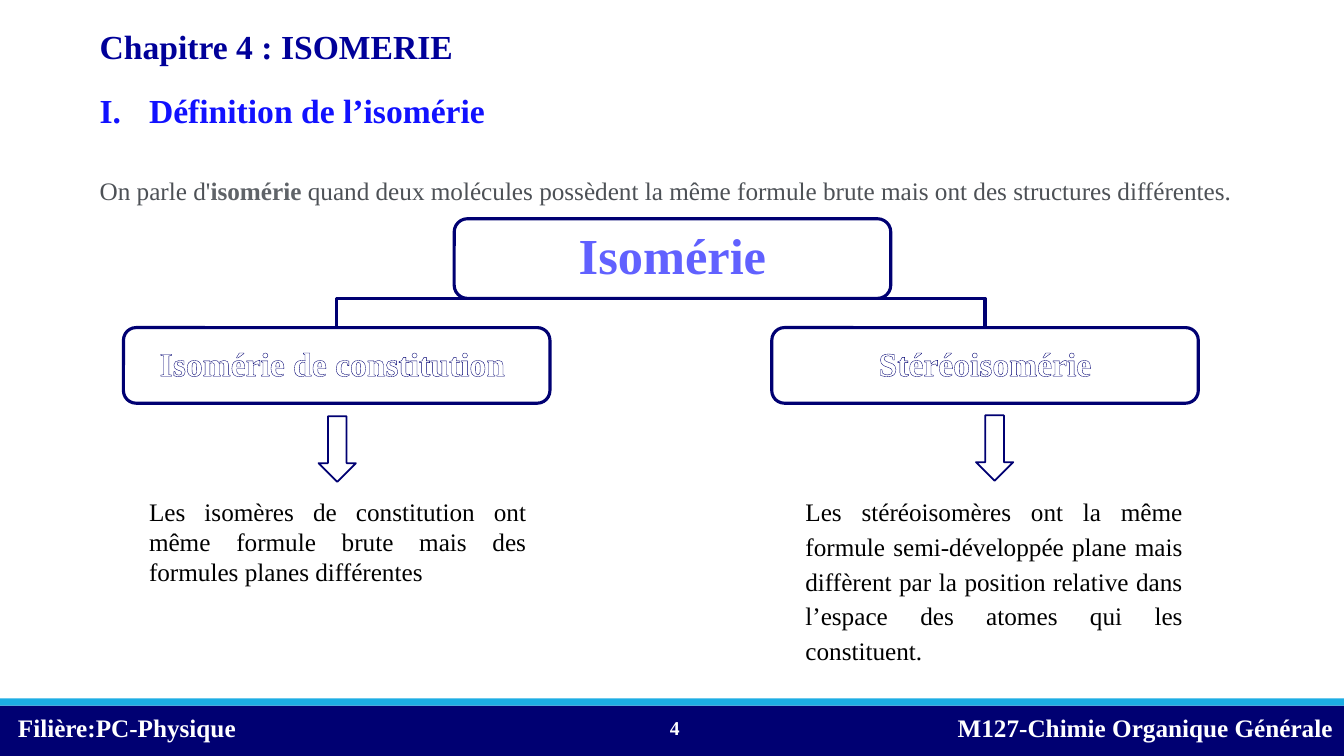
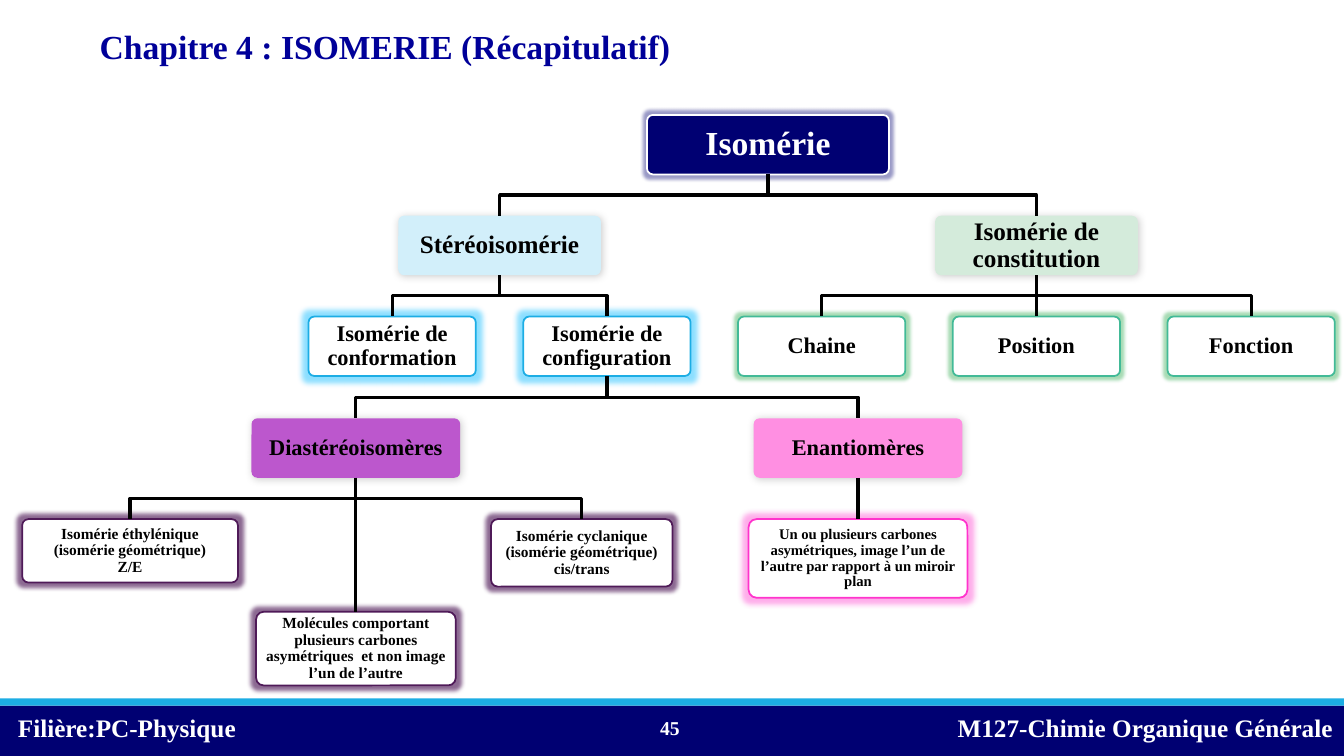
from lxml import etree
from pptx import Presentation
from pptx.dml.color import RGBColor
from pptx.enum.shapes import MSO_CONNECTOR as Connector, MSO_SHAPE as Geometry
from pptx.enum.text import MSO_ANCHOR as Anchor, PP_ALIGN as Align
from pptx.oxml import parse_xml
from pptx.oxml.ns import nsdecls, qn
from pptx.util import Inches, Pt


class Theme:
    font = "Times New Roman"
    navy, sky, white, black = "000072", "1CADE4", "FFFFFF", "000000"
    title, heading, root_text = "000099", "1111FF", "6161FF"
    grey, dark_grey = "4D5156", "5F6368"
    teal, plum, pink = "42BA97", "4F1A58", "FF33CC"
    pale_blue, pale_green, orchid, rose = "D2EFFA", "D4EBDB", "BC57CD", "FF8FE2"
    huge, large, body, medium, page, small, tiny = 36, 24, 18, 16, 14, 11, 10.5
    # Glow: colour, radius in points, opacity in percent
    glows = {navy: ("000072", 5, 40), sky: ("00B8FF", 8, 45), teal: ("4FB86A", 5, 50),
             plum: ("4F1A58", 6, 65), pink: ("FF33CC", 8, 40)}


def style(shape, fill=None, line=None, weight=1.25):
    """Set fill and outline, and drop the default shadow."""
    shape.shadow.inherit = False
    if fill:
        shape.fill.solid()
        shape.fill.fore_color.rgb = RGBColor.from_string(fill)
    else:
        shape.fill.background()
    if line:
        shape.line.color.rgb = RGBColor.from_string(line)
        shape.line.width = Pt(weight)
    else:
        shape.line.fill.background()


def write(shape, runs, size, align=Align.LEFT, anchor=Anchor.TOP, spacing=None,
          inset=None, outline=None, tab=None):
    """Write one paragraph from (text, colour, bold) runs."""
    frame = shape.text_frame
    frame.word_wrap = True
    frame.vertical_anchor = anchor
    if inset is not None:
        frame.margin_left = frame.margin_right = Inches(inset)
        frame.margin_top = frame.margin_bottom = Inches(inset)
    paragraph = frame.paragraphs[0]
    if tab:
        tabs = etree.SubElement(paragraph._p.get_or_add_pPr(), qn("a:tabLst"))
        etree.SubElement(tabs, qn("a:tab"), pos=str(Inches(tab)), algn="l")
    paragraph.alignment = align
    if spacing:
        paragraph.line_spacing = spacing
    for text, color, bold in runs:
        for number, part in enumerate(text.split("\n")):
            if number:
                paragraph.add_line_break()
            run = paragraph.add_run()
            run.text = part
            run.font.name = Theme.font
            run.font.size = Pt(size)
            run.font.bold = bold
            run.font.color.rgb = RGBColor.from_string(color)
            if outline:
                run._r.get_or_add_rPr().insert(0, parse_xml(
                    f'<a:ln {nsdecls("a")} w="{Pt(outline)}"><a:solidFill>'
                    f'<a:srgbClr val="{Theme.navy}"/></a:solidFill></a:ln>'))


presentation = Presentation()
presentation.slide_width = Inches(13.33)
presentation.slide_height = Inches(7.5)

# Shared parts: bands, footer texts and chapter title
for title, page in [("Chapitre 4 : ISOMERIE", "4"),
                    ("Chapitre 4 : ISOMERIE (Récapitulatif)", "45")]:
    slide = presentation.slides.add_slide(presentation.slide_layouts[6])
    for top, height, color in [(7, 0.5, Theme.navy), (6.93, 0.07, Theme.sky)]:
        band = slide.shapes.add_shape(
            Geometry.RECTANGLE, 0, Inches(top), presentation.slide_width, Inches(height))
        style(band, color)
    for left, top, width, text, size, color, align in [
            (0.08, 7.02, 4.44, "Filière:PC-Physique", Theme.body, Theme.white, Align.LEFT),
            (9.4, 7.02, 4.34, "M127-Chimie Organique Générale", Theme.body, Theme.white,
             Align.LEFT),
            (6.27, 7.02, 0.57, page, Theme.page, Theme.white, Align.RIGHT),
            (0.89, 0.21, 10.76, title, Theme.large, Theme.title, Align.LEFT)]:
        label = slide.shapes.add_textbox(*map(Inches, (left, top, width, 0.4)))
        anchor = Anchor.MIDDLE if text == page else Anchor.TOP
        write(label, [(text, color, True)], size, align, anchor)

definition_slide, summary_slide = presentation.slides

# Definition: heading and sentence
heading = definition_slide.shapes.add_textbox(*map(Inches, (0.89, 0.64, 6.87, 0.63)))
write(heading, [("I.\tDéfinition de l’isomérie", Theme.heading, True)], Theme.large,
      spacing=1.5, tab=0.49)
sentence = definition_slide.shapes.add_textbox(*map(Inches, (0.89, 1.54, 11.56, 0.5)))
write(sentence, [
    ("On parle d'", Theme.grey, False),
    ("isomérie", Theme.dark_grey, True),
    (" quand deux molécules possèdent la même formule brute mais ont des structures "
     "différentes.", Theme.grey, False)], Theme.body, spacing=1.5)

# Definition: branches, then the boxes over them
root_center, root_bottom, branch_top = 6.67, 2.96, 3.25
for center in (9.77, 3.34):
    builder = definition_slide.shapes.build_freeform(Inches(root_center), Inches(root_bottom))
    builder.add_line_segments([(Inches(center), Inches(root_bottom)),
                               (Inches(center), Inches(branch_top))], close=False)
    style(builder.convert_to_shape(), line=Theme.navy, weight=2.25)
for center, top, width, height, text, size, color, outline in [
        (root_center, 2.17, 4.33, 0.79, "Isomérie", Theme.huge, Theme.root_text, 1.75),
        (3.34, branch_top, 4.23, 0.75, "Isomérie de constitution ", Theme.large,
         Theme.white, 0.52),
        (9.77, branch_top, 4.23, 0.75, "Stéréoisomérie", Theme.large, Theme.white, 0.52)]:
    box = definition_slide.shapes.add_shape(
        Geometry.ROUNDED_RECTANGLE, *map(Inches, (center - width / 2, top, width, height)))
    style(box, Theme.white, Theme.navy, 2.25)
    write(box, [(text, color, True)], size, Align.CENTER, Anchor.MIDDLE, 0.9, 0.02, outline)

# Definition: arrows and explanations
for arrow_left, arrow_top, left, top, height, spacing, text in [
        (3.16, 4.13, 1.38, 4.87, 1.01, None,
         "Les isomères de constitution ont même formule brute mais des formules planes "
         "différentes"),
        (9.68, 4.12, 7.89, 4.83, 1.82, 1.15,
         "Les stéréoisomères ont la même formule semi-développée plane mais diffèrent par "
         "la position relative dans l’espace des atomes qui les constituent.")]:
    arrow = definition_slide.shapes.add_shape(
        Geometry.DOWN_ARROW, *map(Inches, (arrow_left, arrow_top, 0.37, 0.65)))
    style(arrow, line=Theme.navy)
    explanation = definition_slide.shapes.add_textbox(*map(Inches, (left, top, 3.94, height)))
    write(explanation, [(text, Theme.black, False)], Theme.body, Align.JUSTIFY,
          spacing=spacing)

# Summary tree: key, parent, center, top, width, height, fill, line, size, text
levels = (1.14, 2.14, 3.14, 4.15, 5.15)
columns = [3.89 + 2.13 * number for number in range(5)]
stereo = (columns[0] + columns[1]) / 2
root = (stereo + columns[3]) / 2
diastereo, enantio = columns[1] - 2.49, columns[1] + 2.49
nodes = [
    ("root", None, root, levels[0], 2.4, 0.59, Theme.navy, Theme.white, Theme.large,
     "Isomérie"),
    ("stereo", "root", stereo, levels[1], 2.01, 0.59, Theme.pale_blue, None, Theme.body,
     "Stéréoisomérie"),
    ("constitution", "root", columns[3], levels[1], 2.01, 0.59, Theme.pale_green, None,
     Theme.body, "Isomérie de constitution")]
for column, (key, parent, line, text) in zip(columns, [
        ("conformation", "stereo", Theme.sky, "Isomérie de conformation"),
        ("configuration", "stereo", Theme.sky, "Isomérie de configuration"),
        ("chain", "constitution", Theme.teal, "Chaine"),
        ("position", "constitution", Theme.teal, "Position"),
        ("function", "constitution", Theme.teal, "Fonction")]):
    nodes.append((key, parent, column, levels[2], 1.66, 0.59, Theme.white, line,
                  Theme.medium, text))
nodes += [
    ("diastereo", "configuration", diastereo, levels[3], 2.07, 0.59, Theme.orchid, None,
     Theme.medium, "Diastéréoisomères"),
    ("enantio", "configuration", enantio, levels[3], 2.07, 0.59, Theme.rose, None,
     Theme.medium, "Enantiomères"),
    ("ethylenic", "diastereo", diastereo - 2.24, levels[4], 2.14, 0.63, Theme.white,
     Theme.plum, Theme.small, "Isomérie éthylénique\n(isomérie géométrique)\nZ/E"),
    ("molecules", "diastereo", diastereo, 6.07, 1.98, 0.73, Theme.white, Theme.plum,
     Theme.small,
     "Molécules comportant plusieurs carbones asymétriques  et non image l’un de l’autre"),
    ("cyclic", "diastereo", diastereo + 2.24, levels[4], 1.8, 0.67, Theme.white,
     Theme.plum, Theme.small, "Isomérie cyclanique\n(isomérie géométrique)\ncis/trans"),
    ("mirror", "enantio", enantio, levels[4], 2.17, 0.78, Theme.white, Theme.pink,
     Theme.tiny,
     "Un ou plusieurs carbones asymétriques, image l’un de l’autre par rapport à un "
     "miroir plan")]

boxes = {}
for key, parent, center, top, width, height, fill, line, size, text in nodes:
    box = summary_slide.shapes.add_shape(
        Geometry.ROUNDED_RECTANGLE, *map(Inches, (center - width / 2, top, width, height)))
    box.adjustments[0] = 0.1
    style(box, fill, line)
    color = Theme.white if fill == Theme.navy else Theme.black
    inset = 0.05 if size <= Theme.small else 0.07
    write(box, [(text, color, True)], size, Align.CENTER, Anchor.MIDDLE, 0.9, inset)

    # Glow around outlined boxes, soft shadow under the others
    if line:
        tint, radius, opacity = Theme.glows[Theme.navy if fill == Theme.navy else line]
        tag, settings = "glow", f'rad="{Pt(radius)}"'
    else:
        tint, opacity = Theme.black, 20
        tag, settings = "outerShdw", f'blurRad="{Pt(6)}" dist="{Pt(1)}" dir="2700000"'
    box._element.spPr.find(qn("a:effectLst")).append(parse_xml(
        f'<a:{tag} {nsdecls("a")} {settings}><a:srgbClr val="{tint}">'
        f'<a:alpha val="{opacity * 1000}"/></a:srgbClr></a:{tag}>'))

    # Link to the parent: straight below it, else with two bends
    boxes[key] = box, center, top + height
    if not parent:
        continue
    parent_box, parent_center, parent_bottom = boxes[parent]
    if abs(center - parent_center) < 0.01:
        link = summary_slide.shapes.add_connector(
            Connector.STRAIGHT, *map(Inches, (center, parent_bottom, center, top)))
        link.begin_connect(parent_box, 2)
        link.end_connect(box, 0)
        link.line.color.rgb = RGBColor.from_string(Theme.black)
        link.line.width = Pt(2.25)
        etree.SubElement(link._element.spPr, qn("a:effectLst"))
    else:
        bend = (parent_bottom + top) / 2
        builder = summary_slide.shapes.build_freeform(
            Inches(parent_center), Inches(parent_bottom))
        builder.add_line_segments(
            [(Inches(x), Inches(y)) for x, y in
             [(parent_center, bend), (center, bend), (center, top)]], close=False)
        style(builder.convert_to_shape(), line=Theme.black, weight=2.25)

presentation.save("out.pptx")
